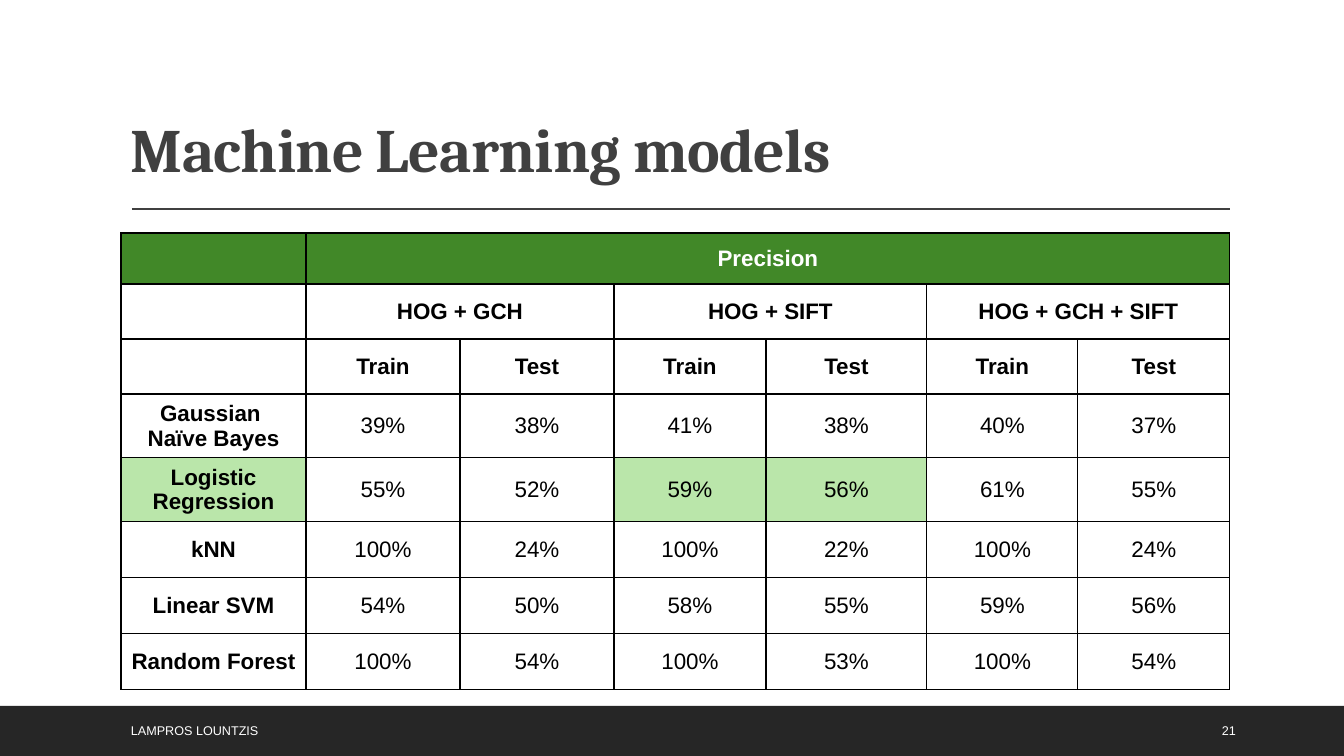
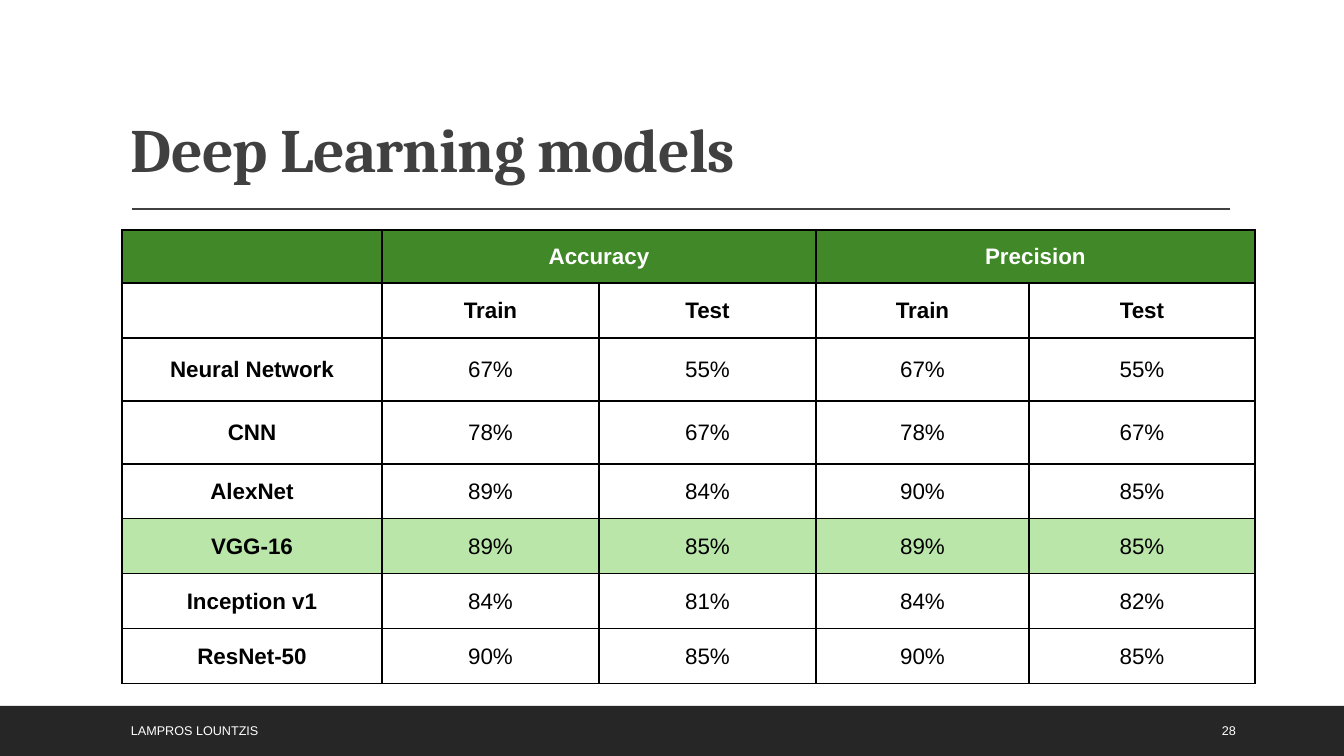
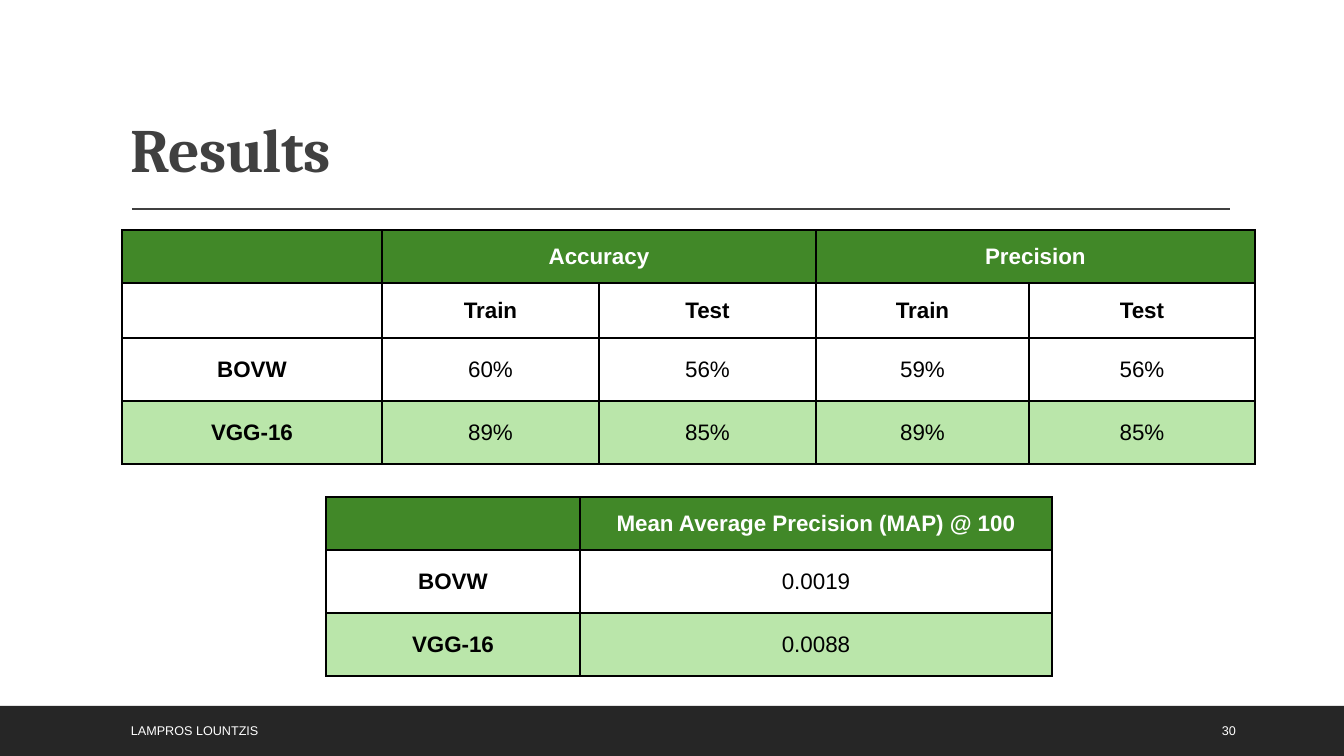
from lxml.etree import SubElement
from pptx import Presentation
from pptx.dml.color import RGBColor
from pptx.enum.shapes import MSO_CONNECTOR, MSO_SHAPE
from pptx.enum.text import MSO_ANCHOR, PP_ALIGN
from pptx.oxml import parse_xml
from pptx.oxml.ns import nsdecls, qn
from pptx.util import Emu, Pt

WIDE, HIGH = 1344, 756
SCALE = 12192000 / WIDE
HUES = {
    "white": "FFFFFF",
    "black": "000000",
    "grey": "404040",
    "band": "262626",
    "head": "418828",
    "mark": "BAE6AA",
}
FONTS = {
    "title": {"name": "Cambria", "size": Pt(44), "bold": True},
    "foot": {"name": "Arial", "size": Pt(9), "bold": False},
    "label": {"name": "Arial", "size": Pt(16), "bold": True},
    "value": {"name": "Arial", "size": Pt(16), "bold": False},
}
AUTHOR = "LAMPROS LOUNTZIS"
SPLIT = [260, 217, 217, 213, 226]
PAIRS = [
    ["", "Accuracy", None, "Precision", None],
    ["", "Train", "Test", "Train", "Test"],
]


def px(num):
    return Emu(round(num * SCALE))


def hue(key):
    return RGBColor.from_string(HUES[key])


def paint(fill, key):
    fill.solid()
    fill.fore_color.rgb = hue(key)


def style(run, font, key):
    for name, value in FONTS[font].items():
        setattr(run.font, name, value)
    run.font.color.rgb = hue(key)


def write(slide, box, text, font, key, anchor):
    frame = slide.shapes.add_textbox(*map(px, box)).text_frame
    frame.word_wrap = True
    frame.vertical_anchor = anchor
    para = frame.paragraphs[0]
    run = para.add_run()
    run.text = text
    style(run, font, key)
    return para


# Title with its rule
def title(slide, box, text):
    left, top, wide, high = box
    para = write(slide, box, text, "title", "grey", MSO_ANCHOR.BOTTOM)
    para.line_spacing = 0.9
    para.runs[0]._r.get_or_add_rPr().set("spc", "-50")
    y = px(top + high + 18)
    rule = slide.shapes.add_connector(
        MSO_CONNECTOR.STRAIGHT, px(left + 11), y, px(left + wide), y)
    rule.line.color.rgb = hue("grey")
    rule.line.width = Pt(1)
    SubElement(rule._element.spPr, qn("a:effectLst"))


# Dark band with author and page number
def footer(slide, box, page):
    left, top, wide, high = box
    band = slide.shapes.add_shape(MSO_SHAPE.RECTANGLE, *map(px, box))
    band.shadow.inherit = False
    paint(band.fill, "band")
    band.line.fill.background()
    for x, width, text in ((1212, 86, str(page)), (121, 752, AUTHOR)):
        write(slide, (left + x, top + 5, width, high - 10), text,
              "foot", "white", MSO_ANCHOR.MIDDLE)


def border(cell):
    props = cell._tc.get_or_add_tcPr()
    for pos, side in enumerate(("lnL", "lnR", "lnT", "lnB")):
        props.insert(pos, parse_xml(
            f'<a:{side} {nsdecls("a")} w="12700"><a:solidFill>'
            f'<a:srgbClr val="{HUES["black"]}"/></a:solidFill></a:{side}>'))


# Score table: None joins a cell to the one on its left
def scores(slide, spot, cols, rows, data, heads, marks):
    left, top = spot
    table = slide.shapes.add_table(
        len(rows), len(cols), px(left), px(top), px(sum(cols)), px(sum(rows))).table
    table.first_row = table.horz_banding = False
    for col, width in zip(table.columns, cols):
        col.width = px(width)
    for row, height in zip(table.rows, rows):
        row.height = px(height)
    for r, line in enumerate(data):
        for c, text in enumerate(line):
            cell = table.cell(r, c)
            cell.vertical_anchor = MSO_ANCHOR.MIDDLE
            cell.margin_left = cell.margin_right = px(9)
            paint(cell.fill, "head" if r == 0 else
                  "mark" if (r, c) in marks else "white")
            border(cell)
            if not text:
                continue
            cell.text = text
            font = "label" if r < heads or c == 0 else "value"
            for para in cell.text_frame.paragraphs:
                para.alignment = PP_ALIGN.CENTER
                for run in para.runs:
                    style(run, font, "black" if r else "white")
            last = c
            while last + 1 < len(line) and line[last + 1] is None:
                last += 1
            if last > c:
                cell.merge(table.cell(r, last))


def full(row, count):
    return {(row, c) for c in range(count)}


def page(deck, text, num):
    slide = deck.slides.add_slide(deck.slide_layouts[6])
    paint(slide.background.fill, "white")
    title(slide, (121, 31, 1109, 160), text)
    footer(slide, (0, 706, WIDE, 50), num)
    return slide


def main():
    deck = Presentation()
    deck.slide_width, deck.slide_height = px(WIDE), px(HIGH)

    # Machine learning
    slide = page(deck, "Machine Learning models", 21)
    scores(slide, (121, 233), [185, 154, 154, 152, 161, 151, 152],
           [51, 55, 55, 64, 63, 56, 56, 56], [
               ["", "Precision"] + [None] * 5,
               ["", "HOG + GCH", None, "HOG + SIFT", None, "HOG + GCH + SIFT", None],
               [""] + ["Train", "Test"] * 3,
               ["Gaussian \nNaïve Bayes", "39%", "38%", "41%", "38%", "40%", "37%"],
               ["Logistic Regression", "55%", "52%", "59%", "56%", "61%", "55%"],
               ["kNN", "100%", "24%", "100%", "22%", "100%", "24%"],
               ["Linear SVM", "54%", "50%", "58%", "55%", "59%", "56%"],
               ["Random Forest", "100%", "54%", "100%", "53%", "100%", "54%"],
           ], 3, {(4, 0), (4, 3), (4, 4)})

    # Deep learning
    slide = page(deck, "Deep Learning models", 28)
    scores(slide, (122, 230), SPLIT, [53, 55, 63, 63, 55, 55, 55, 55], PAIRS + [
        ["Neural Network", "67%", "55%", "67%", "55%"],
        ["CNN", "78%", "67%", "78%", "67%"],
        ["AlexNet", "89%", "84%", "90%", "85%"],
        ["VGG-16", "89%", "85%", "89%", "85%"],
        ["Inception v1", "84%", "81%", "84%", "82%"],
        ["ResNet-50", "90%", "85%", "90%", "85%"],
    ], 2, full(5, 5))

    # Results
    slide = page(deck, "Results", 30)
    scores(slide, (122, 230), SPLIT, [53, 55, 63, 63], PAIRS + [
        ["BOVW", "60%", "56%", "59%", "56%"],
        ["VGG-16", "89%", "85%", "89%", "85%"],
    ], 2, full(3, 5))
    scores(slide, (326, 497), [254, 472], [53, 63, 63], [
        ["", "Mean Average Precision (MAP) @ 100"],
        ["BOVW", "0.0019"],
        ["VGG-16", "0.0088"],
    ], 1, full(2, 2))

    deck.save("out.pptx")


if __name__ == "__main__":
    main()
